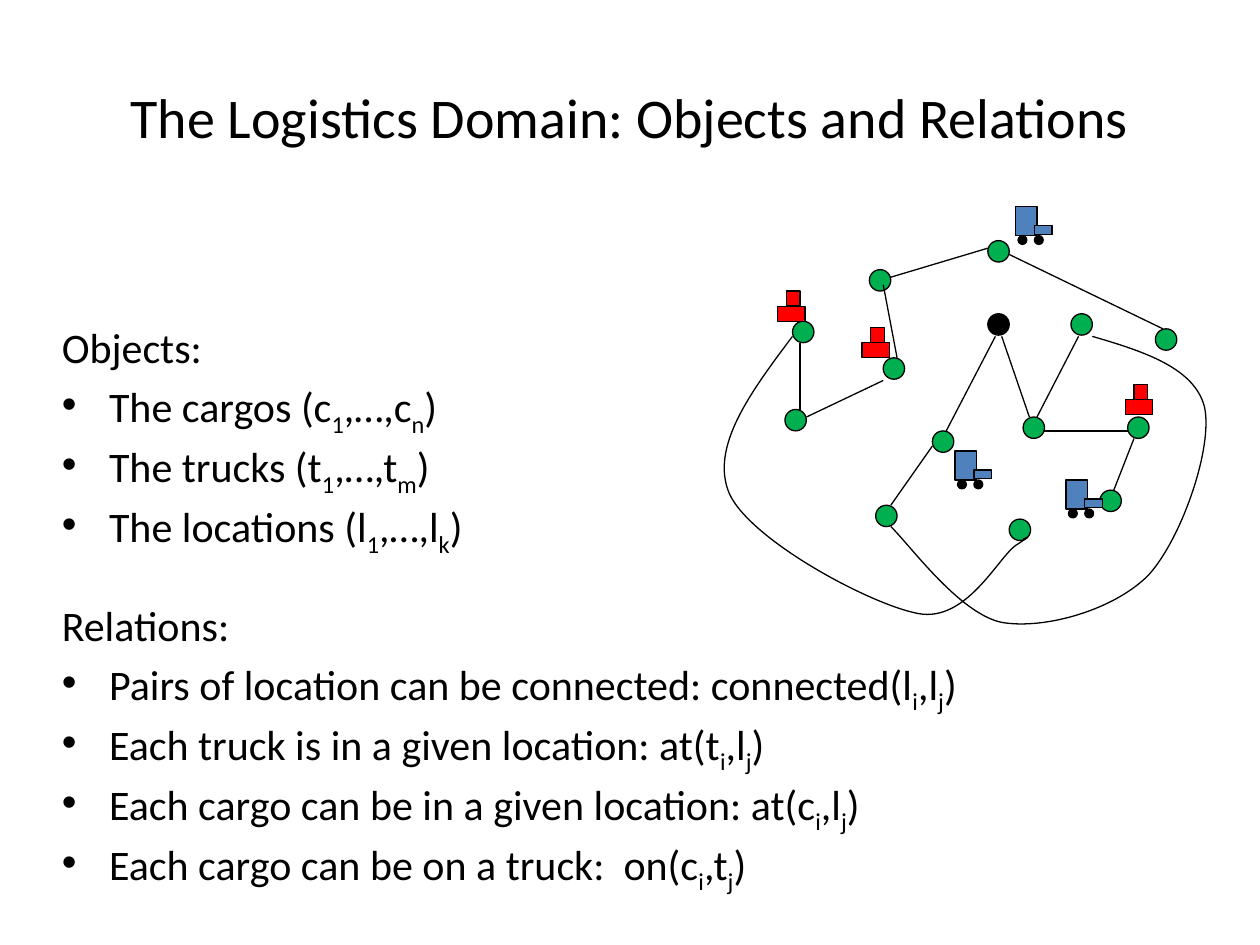
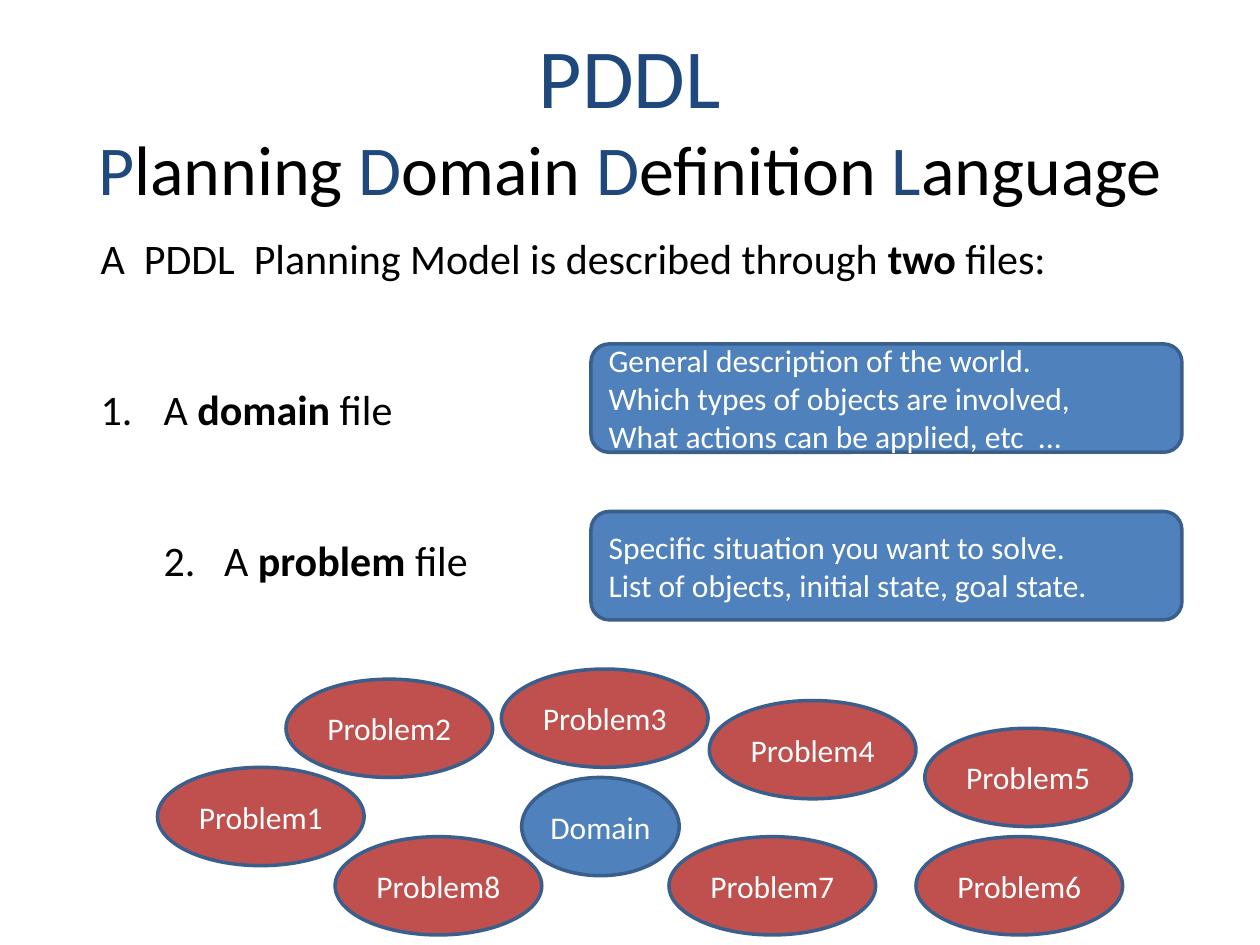
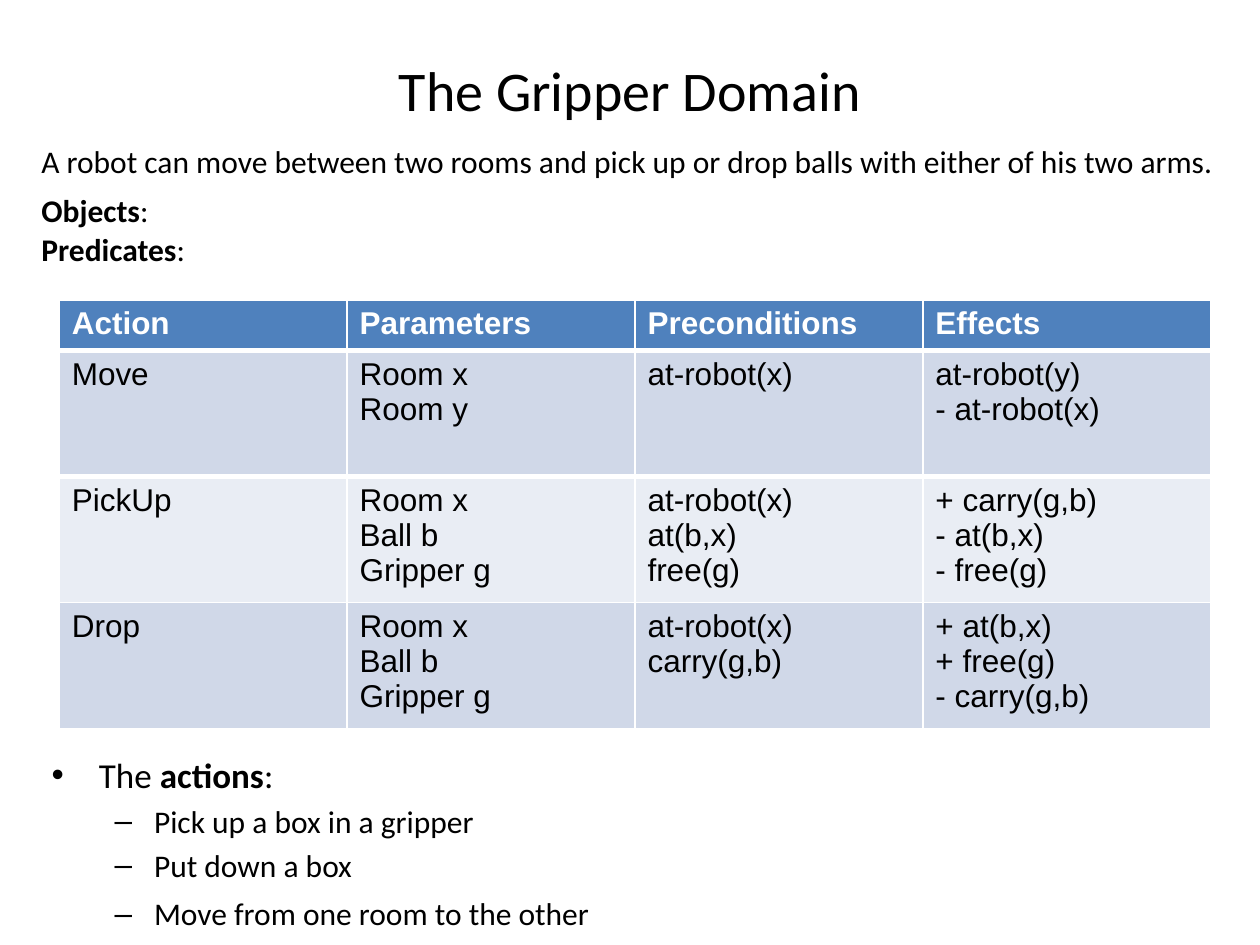
import pptx
import pptx.dml.color
import pptx.enum.shapes
import pptx.enum.text
import pptx.oxml.ns
import pptx.util
from lxml import etree

Inches = pptx.util.Inches
Pt = pptx.util.Pt
RGBColor = pptx.dml.color.RGBColor
SHAPE = pptx.enum.shapes.MSO_SHAPE
ALIGN = pptx.enum.text.PP_ALIGN
ANCHOR = pptx.enum.text.MSO_ANCHOR
NO_FIT = pptx.enum.text.MSO_AUTO_SIZE.NONE
qn = pptx.oxml.ns.qn

BLACK = RGBColor(0x00, 0x00, 0x00)
WHITE = RGBColor(0xFF, 0xFF, 0xFF)
NAVY = RGBColor(0x1F, 0x49, 0x7D)
BLUE = RGBColor(0x4F, 0x81, 0xBD)
DARK_BLUE = RGBColor(0x3A, 0x5F, 0x8C)
RED = RGBColor(0xC0, 0x50, 0x4D)
BRIGHT_RED = RGBColor(0xFF, 0x00, 0x00)
GREEN = RGBColor(0x00, 0xB0, 0x50)
BAND_DARK = RGBColor(0xD0, 0xD8, 0xE8)
BAND_LIGHT = RGBColor(0xE9, 0xED, 0xF4)


def add_figure(shapes, kind, bounds, fill, line=BLACK, width=0.75):
    figure = shapes.add_shape(kind, *map(Inches, bounds))
    figure.shadow.inherit = False
    figure.fill.solid()
    figure.fill.fore_color.rgb = fill
    figure.line.color.rgb = line
    figure.line.width = Pt(width)
    return figure


def add_spans(para, text):
    """Write text in which _x_ is a subscript or *x* is bold."""
    mark = "_" if "_" in text else "*"
    for index, piece in enumerate(text.split(mark)):
        if not piece:
            continue
        span = para.add_run()
        span.text = piece
        if index % 2 and mark == "_":
            span._r.get_or_add_rPr().set("baseline", "-25000")
        elif index % 2:
            span.font.bold = True


deck = pptx.Presentation()
deck.slide_width, deck.slide_height = Inches(10), Inches(7.5)
CONTENT, TITLE_ONLY = deck.slide_layouts[1], deck.slide_layouts[5]

# Slide 1: logistics domain
page = deck.slides.add_slide(CONTENT)
title = page.shapes.title
title.text_frame.auto_size = NO_FIT
title.text_frame.text = "The Logistics Domain: Objects and Relations"
title.text_frame.paragraphs[0].font.size = Pt(32)

body = page.placeholders[1]
body.left, body.top, body.width, body.height = map(Inches, (0.39, 2.08, 9.61, 4.95))
frame = body.text_frame
frame.auto_size = NO_FIT
frame.margin_top = Inches(0.52)
lines = [
    "Objects:",
    "The cargos (c_1_,…,c_n_)",
    "The trucks (t_1_,…,t_m_)",
    "The locations (l_1_,…,l_k_)",
    "Relations:",
    "Pairs of location can be connected: connected(l_i_,l_j_)",
    "Each truck is in a given location: at(t_i_,l_j_)",
    "Each cargo can be in a given location: at(c_i_,l_j_)",
    "Each cargo can be on a truck:  on(c_i_,t_j_)",
]
for index, line in enumerate(lines):
    para = frame.add_paragraph() if index else frame.paragraphs[0]
    para.line_spacing = 0.9
    if line == "Relations:":
        para.space_before = Pt(30)
    if line.endswith(":"):
        etree.SubElement(para._p.get_or_add_pPr(), qn("a:buNone"))
    para.font.size = Pt(24)
    add_spans(para, line)

network = page.shapes.add_group_shape().shapes
locations = [
    (6.29, 2.55), (6.9, 2.14), (7.84, 1.91), (6.23, 3.25), (7.01, 2.84),
    (8.12, 3.31), (6.95, 4.01), (8.5, 2.49), (7.4, 3.42), (8.95, 3.31),
    (8.73, 3.89), (8.01, 4.12), (9.17, 2.61),
]
for left, top in locations:
    add_figure(network, SHAPE.OVAL, (left, top, 0.17, 0.17), GREEN)
add_figure(network, SHAPE.OVAL, (7.84, 2.49, 0.17, 0.17), BLACK)

roads = [
    (6.4, 3.31, 7.01, 3.02), (6.35, 3.25, 6.35, 2.72), (7.51, 3.42, 7.9, 2.67),
    (7.07, 4.01, 7.4, 3.54), (7.12, 2.84, 7.01, 2.26), (7.07, 2.2, 7.84, 1.97),
    (8.01, 2.02, 9.23, 2.61), (7.95, 2.67, 8.17, 3.31), (8.23, 3.31, 8.56, 2.67),
    (8.84, 3.89, 9, 3.48), (8.28, 3.42, 8.95, 3.42),
]
for ends in roads:
    road = network.add_connector(
        pptx.enum.shapes.MSO_CONNECTOR.STRAIGHT, *map(Inches, ends))
    road.line.color.rgb = BLACK
    road.line.width = Pt(0.75)
    etree.SubElement(road._element.spPr, qn("a:effectLst"))

# Each bend is a chain of cubic curves: a start, then three points per curve
bends = [
    [(6.29, 2.67), (5.96, 3.11), (5.63, 3.55), (5.79, 3.92),
     (5.96, 4.29), (6.91, 4.8), (7.29, 4.87),
     (7.67, 4.94), (7.92, 4.43), (8.06, 4.33),
     (8.2, 4.24), (8.16, 4.26), (8.12, 4.28)],
    [(8.67, 2.67), (9.08, 2.79), (9.48, 2.92), (9.56, 3.23),
     (9.63, 3.55), (9.38, 4.27), (9.12, 4.56),
     (8.85, 4.84), (8.29, 5), (7.95, 4.94),
     (7.61, 4.87), (7.21, 4.31), (7.07, 4.18)],
]
for bend in bends:
    start, *points = [tuple(map(Inches, point)) for point in bend]
    builder = network.build_freeform(*start)
    builder.add_line_segments(points, close=False)
    curve = builder.convert_to_shape()
    curve.shadow.inherit = False
    curve.fill.background()
    curve.line.color.rgb = BLACK
    curve.line.width = Pt(0.75)
    segments = list(curve._element.iter(qn("a:lnTo")))
    outline = segments[0].getparent()
    for first in range(0, len(segments), 3):
        cubic = etree.SubElement(outline, qn("a:cubicBezTo"))
        for segment in segments[first:first + 3]:
            cubic.append(segment[0])
            outline.remove(segment)

for left, top in [(6.84, 2.72), (6.17, 2.43), (8.93, 3.17)]:
    add_figure(network, SHAPE.RECTANGLE, (left, top, 0.22, 0.12), BRIGHT_RED)
    add_figure(network, SHAPE.RECTANGLE, (left + 0.07, top - 0.12, 0.11, 0.12), BRIGHT_RED)

for left, top in [(7.58, 3.58), (8.06, 1.64), (8.46, 3.81)]:
    add_figure(network, SHAPE.RECTANGLE, (left, top, 0.17, 0.23), BLUE)
    add_figure(network, SHAPE.RECTANGLE, (left + 0.15, top + 0.15, 0.14, 0.07), BLUE)
    for offset in (0.15, 0.02):
        add_figure(network, SHAPE.OVAL, (left + offset, top + 0.23, 0.07, 0.07), BLACK)

# Slide 2: PDDL
page = deck.slides.add_slide(TITLE_ONLY)
frame = page.shapes.title.text_frame
frame.auto_size = NO_FIT
para = frame.paragraphs[0]
title_spans = [("PDDL", 48, NAVY)]
for word in ("Planning ", "Domain ", "Definition ", "Language"):
    title_spans += [(word[0], 40, NAVY), (word[1:], 40, BLACK)]
for text, size, colour in title_spans:
    span = para.add_run()
    span.text = text
    span.font.size = Pt(size)
    span.font.color.rgb = colour
    if text == "PDDL":
        para.add_line_break()

box = page.shapes.add_textbox(*map(Inches, (0.7, 1.8, 8.83, 2.93)))
frame = box.text_frame
frame.word_wrap = True
files = [
    ("A  PDDL  Planning Model is described through *two *files:", None, 0, 0),
    ("A *domain* file", 1, 0.5, -0.5),
    ("A *problem *file", 2, 0.98, -0.48),
]
for index, (text, number, margin, indent) in enumerate(files):
    para = frame.add_paragraph() if index else frame.paragraphs[0]
    if number:
        para.space_before = Pt(57.5)
        properties = para._p.get_or_add_pPr()
        properties.set("marL", str(Inches(margin)))
        properties.set("indent", str(Inches(indent)))
        etree.SubElement(properties, qn("a:buFont"), typeface="+mj-lt")
        etree.SubElement(properties, qn("a:buAutoNum"),
                         type="arabicPeriod", startAt=str(number))
    para.font.size = Pt(24)
    add_spans(para, text)

descriptions = [
    (2.73, ["General description of the world.",
            "Which types of objects are involved,",
            "What actions can be applied, etc  ..."]),
    (4.06, ["Specific situation you want to solve.",
            "List of objects, initial state, goal state."]),
]
for top, lines in descriptions:
    card = add_figure(page.shapes, SHAPE.ROUNDED_RECTANGLE, (4.69, top, 4.69, 0.86),
                      BLUE, DARK_BLUE, 2)
    card.text_frame.text = "\n".join(lines)
    card.text_frame.word_wrap = True
    card.text_frame.vertical_anchor = ANCHOR.MIDDLE
    for para in card.text_frame.paragraphs:
        para.alignment = ALIGN.LEFT
        para.font.size = Pt(18)
        para.font.color.rgb = WHITE

bubbles = [
    ("Domain", 4.14, 6.17), ("Problem2", 2.27, 5.39), ("Problem1", 1.25, 6.09),
    ("Problem8", 2.66, 6.64), ("Problem3", 3.98, 5.31), ("Problem4", 5.63, 5.56),
    ("Problem7", 5.31, 6.64), ("Problem5", 7.34, 5.78), ("Problem6", 7.27, 6.64),
]
for name, left, top in bubbles:
    width, fill = (1.25, BLUE) if name == "Domain" else (1.64, RED)
    bubble = add_figure(page.shapes, SHAPE.OVAL, (left, top, width, 0.78),
                        fill, DARK_BLUE, 2)
    frame = bubble.text_frame
    frame.text = name
    frame.vertical_anchor = ANCHOR.MIDDLE
    frame.margin_left = frame.margin_right = Inches(0.04)
    frame.margin_top = frame.margin_bottom = Inches(0.04)
    para = frame.paragraphs[0]
    para.alignment = ALIGN.CENTER
    para.font.size = Pt(18)
    para.font.color.rgb = WHITE

# Slide 3: gripper domain
page = deck.slides.add_slide(CONTENT)
title = page.shapes.title
title.left, title.top, title.width, title.height = map(Inches, (0.5, 0.08, 9, 1.25))
title.text_frame.auto_size = NO_FIT
title.text_frame.text = "The Gripper Domain"
title.text_frame.paragraphs[0].font.size = Pt(32)

body = page.placeholders[1]
body.left, body.top, body.width, body.height = map(Inches, (0.31, 5.16, 9.69, 2.34))
frame = body.text_frame
frame.auto_size = NO_FIT
frame.margin_top = Inches(0.82)
para = frame.paragraphs[0]
para.font.size = Pt(20)
add_spans(para, "The *actions*:")
for action in ("Pick up a box in a gripper", "Put down a box", "Move from one room to the other"):
    para = frame.add_paragraph()
    para.text = action
    para.level = 1
    para.font.size = Pt(18)
para.space_before = Pt(6)

notes = [
    (1.08, "A robot can move between two rooms and pick up or drop balls "
           "with either of his two arms."),
    (1.47, "*Objects*:"),
    (1.78, "*Predicates*:"),
]
for top, text in notes:
    box = page.shapes.add_textbox(*map(Inches, (0.23, top, 9.77, 0.4)))
    box.text_frame.word_wrap = True
    para = box.text_frame.paragraphs[0]
    para.font.size = Pt(18)
    add_spans(para, text)

rows = [
    ("Action", "Parameters", "Preconditions", "Effects"),
    ("Move", "Room x\nRoom y", "at-robot(x)", "at-robot(y)\n- at-robot(x)"),
    ("PickUp", "Room x\nBall b\nGripper g", "at-robot(x)\nat(b,x)\nfree(g)",
     "+ carry(g,b)\n- at(b,x)\n- free(g)"),
    ("Drop", "Room x\nBall b\nGripper g", "at-robot(x)\ncarry(g,b)",
     "+ at(b,x)\n+ free(g)\n- carry(g,b)"),
]
row_fills = [BLUE, BAND_DARK, BAND_LIGHT, BAND_DARK]
table = page.shapes.add_table(4, 4, *map(Inches, (0.47, 2.38, 9.14, 3.41))).table
for row_index, texts in enumerate(rows):
    is_header = row_index == 0
    table.rows[row_index].height = Inches(0.4 if is_header else 1)
    for column_index, text in enumerate(texts):
        cell = table.cell(row_index, column_index)
        cell.text = text
        cell.fill.solid()
        cell.fill.fore_color.rgb = row_fills[row_index]
        if row_index < 2:
            border = etree.Element(qn("a:lnB" if is_header else "a:lnT"), w=str(Pt(3)))
            paint = etree.SubElement(border, qn("a:solidFill"))
            etree.SubElement(paint, qn("a:srgbClr"), val=str(WHITE))
            cell._tc.get_or_add_tcPr().insert(0, border)
        for para in cell.text_frame.paragraphs:
            para.font.name = "Arial"
            para.font.size = Pt(18)
            para.font.bold = is_header
            para.font.color.rgb = WHITE if is_header else BLACK

deck.save("out.pptx")
